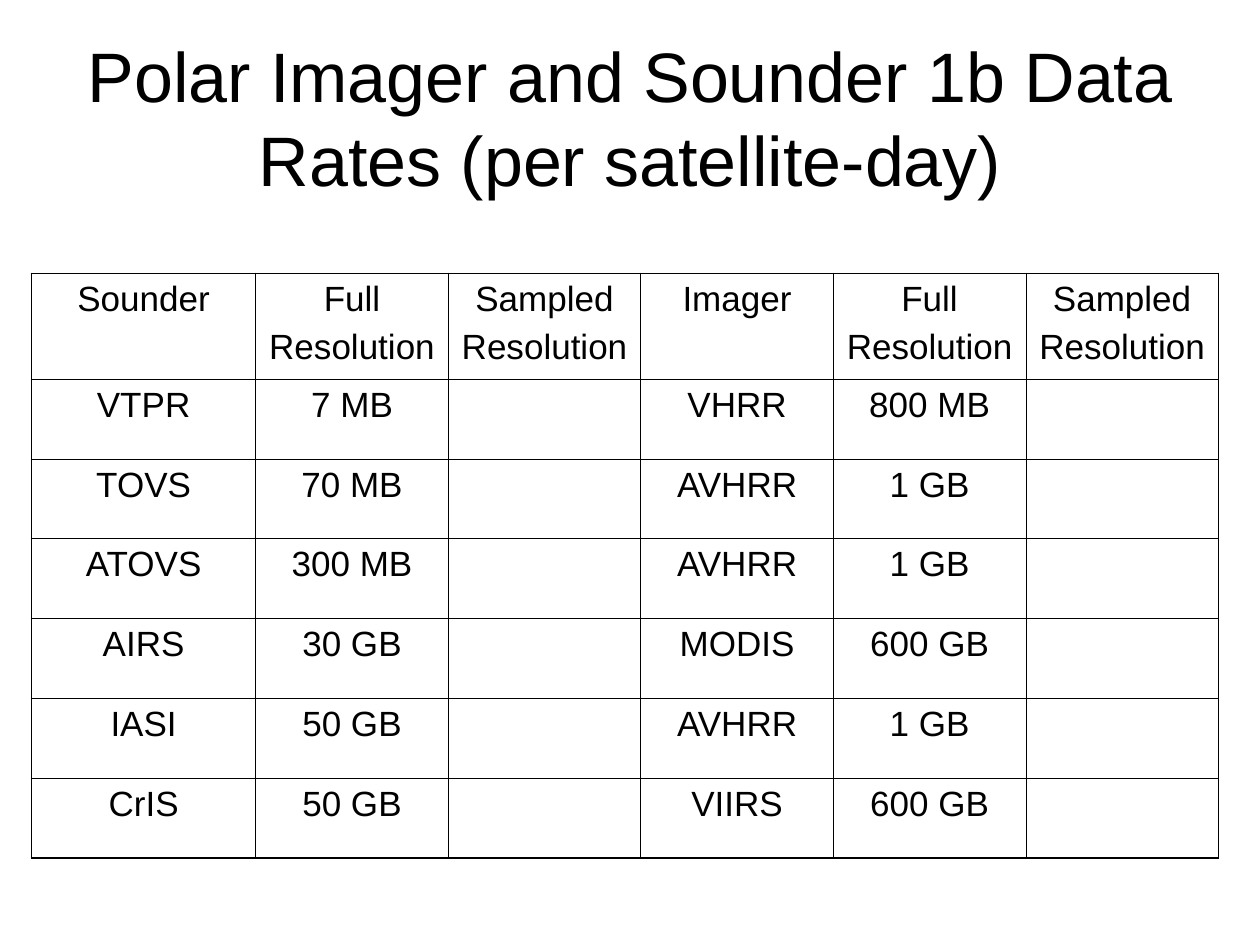
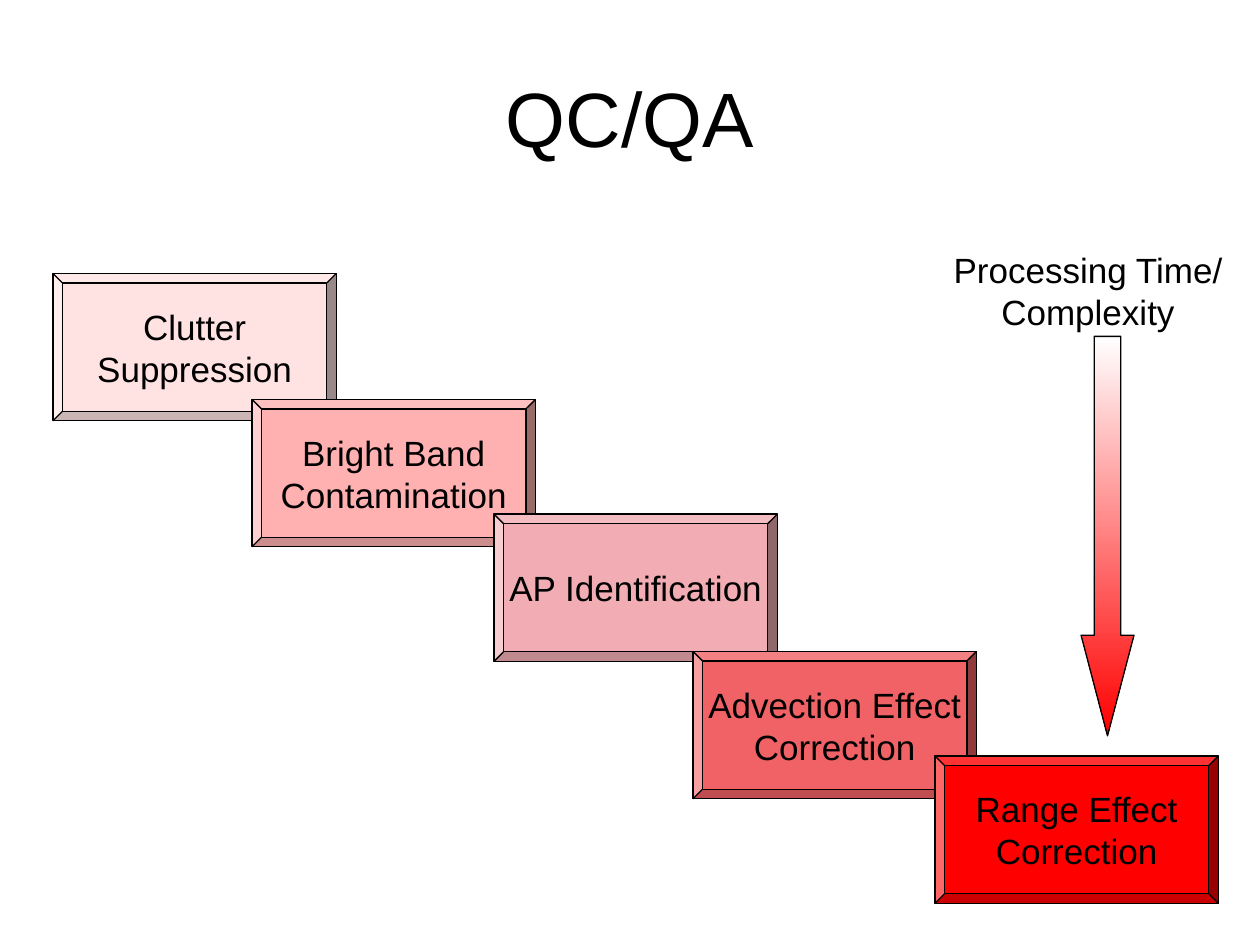
import pptx
import pptx.util
import pptx.dml.color
import pptx.enum.shapes
import pptx.enum.text
import pptx.oxml.ns
import lxml.etree

Inches, Pt = pptx.util.Inches, pptx.util.Pt
SHAPE = pptx.enum.shapes.MSO_SHAPE
ANCHOR = pptx.enum.text.MSO_ANCHOR

# Shared style
FONT = "Arial"
BLACK = "000000"
BODY_SIZE = 20
TITLE_BOX = (0.5, 0.3, 9, 1.25)
THIN, THICK = 0.45, 1.08


def rgb(color):
    return pptx.dml.color.RGBColor.from_string(color)


def inches(box):
    return [Inches(v) for v in box]


def write(tf, text, size=BODY_SIZE, before=0):
    """Fill a text frame with centred paragraphs, one per line of text."""
    for i, line in enumerate(text.split("\n")):
        p = tf.paragraphs[0] if i == 0 else tf.add_paragraph()
        p.alignment = pptx.enum.text.PP_ALIGN.CENTER
        p.space_before = Pt(before)
        r = p.add_run()
        r.text = line
        r.font.size = Pt(size)
        r.font.name = FONT
        r.font.color.rgb = rgb(BLACK)


def add_slide(prs, title, size):
    s = prs.slides.add_slide(prs.slide_layouts[5])
    sp = s.shapes.title
    sp.left, sp.top, sp.width, sp.height = inches(TITLE_BOX)
    tf = sp.text_frame
    tf.auto_size = pptx.enum.text.MSO_AUTO_SIZE.NONE
    tf.vertical_anchor = ANCHOR.MIDDLE
    write(tf, title, size)
    return s


# Data rate table
def set_borders(cell, widths):
    tcPr = cell._tc.get_or_add_tcPr()
    qn = pptx.oxml.ns.qn
    for side, width in zip("LRTB", widths):
        ln = lxml.etree.SubElement(tcPr, qn("a:ln" + side), w=str(Pt(width)))
        fill = lxml.etree.SubElement(ln, qn("a:solidFill"))
        lxml.etree.SubElement(fill, qn("a:srgbClr"), val=BLACK)


def add_rate_table(s, box, rows, first_width, header_height):
    n_rows, n_cols = len(rows), len(rows[0])
    table = s.shapes.add_table(n_rows, n_cols, *inches(box)).table
    table.first_row = table.horz_banding = False
    for j, col in enumerate(table.columns):
        rest = (box[2] - first_width) / (n_cols - 1)
        col.width = Inches(rest if j else first_width)
    for i, row in enumerate(table.rows):
        rest = (box[3] - header_height) / (n_rows - 1)
        row.height = Inches(rest if i else header_height)
    for i, values in enumerate(rows):
        for j, value in enumerate(values):
            cell = table.cell(i, j)
            outer = (j == 0, j == n_cols - 1, i == 0, i == n_rows - 1)
            set_borders(cell, [THICK if edge else THIN for edge in outer])
            cell.fill.background()
            if value:
                write(cell.text_frame, value, before=5)


def rates_slide(prs):
    s = add_slide(prs, "Polar Imager and Sounder 1b Data Rates (per satellite-day)", 40)
    full, sampled = "Full\nResolution", "Sampled\nResolution"
    rates = [
        ("VTPR", "7 MB", "VHRR", "800 MB"),
        ("TOVS", "70 MB", "AVHRR", "1 GB"),
        ("ATOVS", "300 MB", "AVHRR", "1 GB"),
        ("AIRS", "30 GB", "MODIS", "600 GB"),
        ("IASI", "50 GB", "AVHRR", "1 GB"),
        ("CrIS", "50 GB", "VIIRS", "600 GB"),
    ]
    rows = [("Sounder", full, sampled, "Imager", full, sampled)]
    rows += [(sounder, rate, "", imager, imager_rate, "")
             for sounder, rate, imager, imager_rate in rates]
    add_rate_table(s, (0.25, 2.17, 9.42, 4.64), rows, 1.78, 0.84)


# Quality control staircase
def add_outlined(s, kind, box):
    sp = s.shapes.add_shape(kind, *inches(box))
    sp.shadow.inherit = False
    sp.line.color.rgb = rgb(BLACK)
    sp.line.width = Pt(0.75)
    return sp


def add_step(s, box, text, color):
    sp = add_outlined(s, SHAPE.BEVEL, box)
    sp.adjustments[0] = 0.065
    sp.fill.solid()
    sp.fill.fore_color.rgb = rgb(color)
    tf = sp.text_frame
    tf.word_wrap = False
    tf.vertical_anchor = ANCHOR.MIDDLE
    write(tf, text)


def add_staircase(s, left, steps):
    for i, (top, text, color) in enumerate(steps):
        x = left + 3.5 * (i // 2) + 1.58 * (i % 2)
        add_step(s, (x, top, 2.25, 1.17), text, color)


def add_complexity_arrow(s, box):
    """Label at the top of the box, with a fading arrow below it."""
    left, top, width, height = box
    sp = add_outlined(s, SHAPE.DOWN_ARROW, (left + 1.12, top + 0.75, 0.42, height - 0.75))
    sp.adjustments[0], sp.adjustments[1] = 0.5, 1.9
    sp.fill.gradient()
    sp.fill.gradient_angle = 270
    for stop, color in zip(sp.fill.gradient_stops, ("FFFFFF", "FF0000")):
        stop.color.rgb = rgb(color)
    tf = s.shapes.add_textbox(*inches((left, top, width, 0.77))).text_frame
    tf.word_wrap = False
    write(tf, "Processing Time/\nComplexity")


def quality_slide(prs):
    s = add_slide(prs, "QC/QA", 44)
    add_staircase(s, 0.42, [
        (2.17, "Clutter\nSuppression", "FFE3E3"),
        (3.17, "Bright Band\nContamination", "FFB1B1"),
        (4.08, "AP Identification", "F1ADB3"),
        (5.17, "Advection Effect\nCorrection", "F06265"),
        (6, "Range Effect\nCorrection", "FF0000"),
    ])
    add_complexity_arrow(s, (7.46, 1.92, 2.35, 3.92))


def main():
    prs = pptx.Presentation()
    prs.slide_width, prs.slide_height = Inches(10), Inches(7.5)
    rates_slide(prs)
    quality_slide(prs)
    prs.save("out.pptx")


if __name__ == "__main__":
    main()
